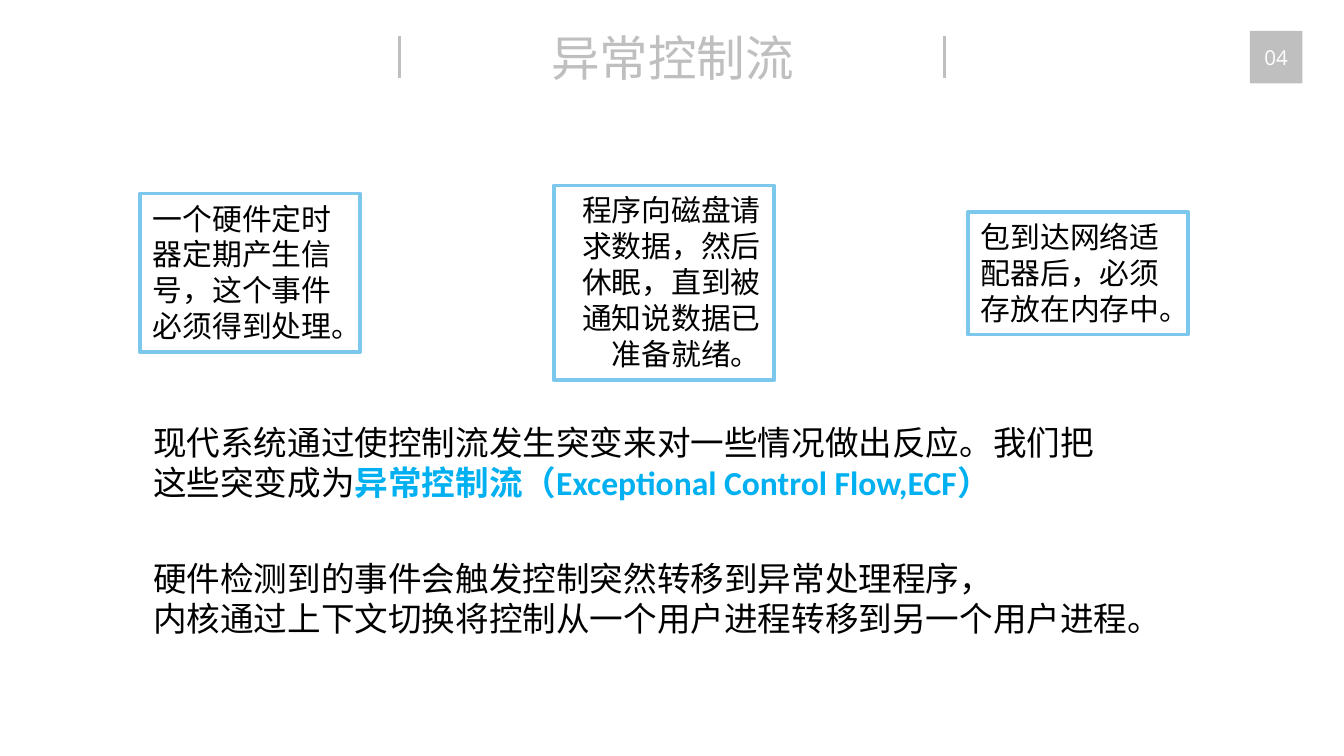
from lxml import etree
from pptx import Presentation
from pptx import util as u
from pptx.dml.color import RGBColor
from pptx.enum import shapes, text
from pptx.oxml.ns import qn

GREY = RGBColor(0xBF, 0xBF, 0xBF)
WHITE = RGBColor(0xFF, 0xFF, 0xFF)
BLACK = RGBColor(0, 0, 0)
SKY = RGBColor(0x7C, 0xC8, 0xEC)
BLUE = RGBColor(0x00, 0xB0, 0xF0)
SANS = "Noto Sans CJK SC"
LEFT, MID, RIGHT = (text.PP_ALIGN.LEFT, text.PP_ALIGN.CENTER,
                    text.PP_ALIGN.RIGHT)

# Widescreen slide, 16:9
deck = Presentation()
deck.slide_width = u.Inches(10)
deck.slide_height = u.Inches(10 * 9 / 16)
slide = deck.slides.add_slide(deck.slide_layouts[6])


def write(shape, paras, align=LEFT, anchor=text.MSO_ANCHOR.TOP):
    """Fill a shape; each paragraph is a list of (words, font values)."""
    frame = shape.text_frame
    frame.word_wrap = True
    frame.vertical_anchor = anchor
    for i, runs in enumerate(paras):
        para = frame.add_paragraph() if i else frame.paragraphs[0]
        para.alignment = align
        # Let a closing full stop hang past the margin
        para._p.get_or_add_pPr().set("hangingPunct", "1")
        for words, form in runs:
            run = para.add_run()
            run.text = words
            for key, val in form.items():
                if key == "color":
                    run.font.color.rgb = val
                else:
                    setattr(run.font, key, val)
            east = etree.SubElement(run._r.get_or_add_rPr(), qn("a:ea"))
            east.set("typeface", SANS)


def add_box(place, fill=None, edge=None):
    """Add a plain text box, or a rectangle when a fill is given."""
    spot = [u.Inches(v) for v in place]
    if fill is None:
        return slide.shapes.add_textbox(*spot)
    box = slide.shapes.add_shape(shapes.MSO_SHAPE.RECTANGLE, *spot)
    box.shadow.inherit = False
    box.fill.solid()
    box.fill.fore_color.rgb = fill
    if edge is None:
        box.line.fill.background()
    else:
        box.line.color.rgb = edge
        box.line.width = u.Pt(2)
    return box


# Font values
head = {"size": u.Pt(26), "name": "Open Sans", "color": GREY}
page = {"size": u.Pt(11), "name": "Open Sans", "color": WHITE}
note = {"size": u.Pt(16), "name": SANS, "color": BLACK}
body = {"size": u.Pt(18), "name": SANS, "color": BLACK}
term = {"size": u.Pt(18), "name": "Calibri", "color": BLUE, "bold": True}

# Title between two upright rules
write(add_box((0.94, 0.16, 8.13, 0.54)), [[("异常控制流", head)]], MID)
for x in (2.97, 7.03):
    rule = slide.shapes.add_connector(
        shapes.MSO_CONNECTOR.STRAIGHT,
        u.Inches(x), u.Inches(0.27), u.Inches(x), u.Inches(0.58))
    rule.line.color.rgb = GREY
    rule.line.width = u.Pt(1.5)
    etree.SubElement(rule._element.spPr, qn("a:effectLst"))

# Page number
write(add_box((9.3, 0.23, 0.39, 0.39), GREY), [[("04", page)]], MID,
      text.MSO_ANCHOR.MIDDLE)

# Definition
write(add_box((1.04, 3.09, 7.21, 0.71)), [[
    ("现代系统通过使控制流发生突变来对一些情况做出反应。我们把这些突变成为", body),
    ("异常控制流（Exceptional Control Flow,ECF）", term)]])

# Three example boxes in even columns
cases = [
    (1.44, 1.18, LEFT, "一个硬件定时器定期产生信号，这个事件必须得到处理。"),
    (1.38, 1.45, RIGHT,
     "程序向磁盘请求数据，然后休眠，直到被通知说数据已准备就绪。"),
    (1.58, 0.91, LEFT, "包到达网络适配器后，必须存放在内存中。"),
]
for i, (top, high, align, words) in enumerate(cases):
    box = add_box((1.04 + 3.08 * i, top, 1.64, high), WHITE, SKY)
    write(box, [[(words, note)]], align)

# How control moves
write(add_box((1.04, 4.1, 7.89, 0.71)), [
    [("硬件检测到的事件会触发控制突然转移到异常处理程序，", body)],
    [("内核通过上下文切换将控制从一个用户进程转移到另一个用户进程。", body)]])

deck.save("out.pptx")
